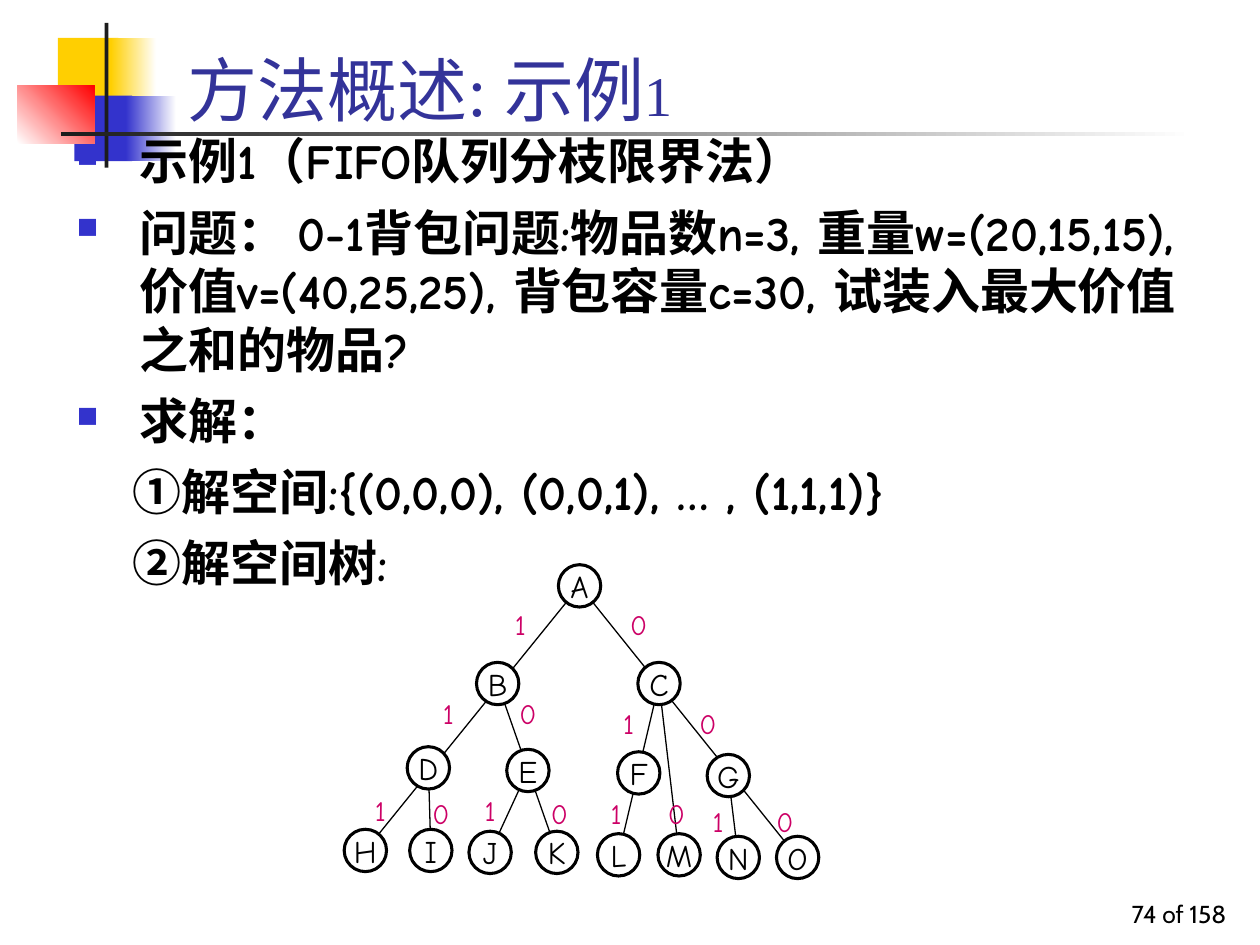
from lxml import etree
from pptx import Presentation
from pptx import util as u
from pptx.dml.color import RGBColor
from pptx.enum import shapes, text
from pptx.oxml.ns import qn

COLORS = {"black": "000000", "white": "FFFFFF", "ink": "1C1C1C", "yellow": "FFCF01",
          "blue": "3333CC", "red": "FF0000", "title": "333399", "label": "CC0066"}

DECORATION = [
    ((33.1, 21.6, 34.6, 37.4), ["yellow"], 0),
    ((63.4, 21.6, 25.9, 37.4), ["yellow", "white"], 0),
    ((42.5, 54.7, 33.1, 37.4), ["blue"], 0),
    ((72, 54.7, 28.8, 37.4), ["blue", "white"], 0),
    ((10.1, 49, 43.9, 33.1), ["white", "red"], 45),
    ((59.8, 13, 2.2, 82.8), ["ink"], 0),
    ((34.6, 75.6, 648, 2.2), ["ink", "white"], 0),
]
TITLE = [("方法概述: 示例", 40), ("1", 32)]
BULLETS = [
    "示例1（FIFO队列分枝限界法）",
    "问题： 0-1背包问题:物品数n=3, 重量w=(20,15,15), 价值v=(40,25,25), "
    "背包容量c=30, 试装入最大价值之和的物品?",
    "求解：",
]
STEPS = ["①解空间:{(0,0,0), (0,0,1), … , (1,1,1)}", "②解空间树:"]
PAGE = "74 of 158"

NODES = {
    "A": (331.2, 334.8), "B": (284.4, 390.6), "C": (376.6, 390.6),
    "D": (244.8, 438.8), "E": (301.7, 440.3), "F": (365, 441.7), "G": (416.2, 443.2),
    "H": (208.8, 486), "I": (246.2, 486), "J": (280.1, 487.1), "K": (318.2, 487.1),
    "L": (353.5, 488.5), "M": (388.1, 488.5), "N": (421.9, 490), "O": (455.8, 490),
}
BRANCHES = ["AO", "BK", "DI", "AH", "EJ", "CM", "CL", "GN"]
CHOICES = {
    "1": [(297.4, 356.8), (256.3, 407.9), (217.4, 463.3), (359.3, 413.6),
          (352.1, 464.8), (280.1, 463.3), (410.4, 469.1)],
    "0": [(365, 356.8), (301.7, 407.9), (252, 464.8), (319.7, 464.8),
          (386.6, 464.8), (448.6, 469.1), (404.6, 413.6)],
}
DIAMETER = 24.2
TREE_FONT = "Comic Neue"


def rgb(name):
    return RGBColor.from_string(COLORS[name])


def points(values):
    return [u.Pt(value) for value in values]


def apply(target, values):
    for name, value in values.items():
        setattr(target, name, value)


def add_run(paragraph, content, size, font, color, bold=False):
    run = paragraph.add_run()
    run.text = content
    apply(run.font, {"size": u.Pt(size), "name": font, "bold": bold})
    run.font.color.rgb = rgb(color)


def add_box(slide, place, anchor):
    frame = slide.shapes.add_textbox(*points(place)).text_frame
    apply(frame, {"word_wrap": True, "vertical_anchor": anchor})
    return frame


def add_decoration(slide, place, colors, angle):
    shape = slide.shapes.add_shape(shapes.MSO_SHAPE.RECTANGLE, *points(place))
    shape.shadow.inherit = False
    shape.line.fill.background()
    if len(colors) == 1:
        shape.fill.solid()
        shape.fill.fore_color.rgb = rgb(colors[0])
        return
    shape.fill.gradient()
    shape.fill.gradient_angle = angle
    for position, (stop, color) in enumerate(zip(shape.fill.gradient_stops, colors)):
        stop.position = position
        stop.color.rgb = rgb(color)


def set_indent(paragraph, margin, indent, bullet):
    properties = paragraph._p.get_or_add_pPr()
    properties.set("marL", str(u.Pt(margin)))
    properties.set("indent", str(u.Pt(indent)))
    if bullet:
        color = etree.SubElement(properties, qn("a:buClr"))
        etree.SubElement(color, qn("a:srgbClr"), val=COLORS["blue"])
        etree.SubElement(properties, qn("a:buSzPct"), val="60000")
        etree.SubElement(properties, qn("a:buChar"), char=bullet)
    else:
        etree.SubElement(properties, qn("a:buNone"))


def add_body(slide):
    frame = add_box(slide, (36.7, 71.3, 657.4, 391), text.MSO_ANCHOR.TOP)
    lines = [(line, 36, -36, "■") for line in BULLETS] + [(line, 32, 0, None) for line in STEPS]
    for index, (line, margin, indent, bullet) in enumerate(lines):
        paragraph = frame.add_paragraph() if index else frame.paragraphs[0]
        paragraph.space_before = u.Pt(7)
        set_indent(paragraph, margin, indent, bullet)
        add_run(paragraph, line, 28, TREE_FONT, "black", True)


def add_branch(slide, start, end):
    line = slide.shapes.add_connector(
        shapes.MSO_CONNECTOR.STRAIGHT, *points(NODES[start] + NODES[end]))
    line.line.width = u.Pt(0.75)
    line.line.color.rgb = rgb("black")
    etree.SubElement(line._element.spPr, qn("a:effectLst"))


def add_circle(slide, center, content, size, color, outlined):
    left, top = (value - DIAMETER / 2 for value in center)
    shape = slide.shapes.add_shape(
        shapes.MSO_SHAPE.OVAL, *points((left, top, DIAMETER, DIAMETER)))
    shape.shadow.inherit = False
    if outlined:
        shape.fill.solid()
        shape.fill.fore_color.rgb = rgb("white")
        shape.line.width = u.Pt(1.75)
        shape.line.color.rgb = rgb("black")
    else:
        shape.fill.background()
        shape.line.fill.background()
    apply(shape.text_frame, {"word_wrap": False, "vertical_anchor": text.MSO_ANCHOR.MIDDLE})
    paragraph = shape.text_frame.paragraphs[0]
    paragraph.alignment = text.PP_ALIGN.CENTER
    add_run(paragraph, content, size, TREE_FONT, color)


def main():
    presentation = Presentation()
    apply(presentation, {"slide_width": u.Pt(720), "slide_height": u.Pt(540)})
    slide = presentation.slides.add_slide(presentation.slide_layouts[6])

    for decoration in DECORATION:
        add_decoration(slide, *decoration)

    page = add_box(slide, (558, 498.2, 149.8, 36), text.MSO_ANCHOR.BOTTOM).paragraphs[0]
    page.alignment = text.PP_ALIGN.RIGHT
    add_run(page, PAGE, 14, "Cabin", "black")

    title = add_box(slide, (100.1, 12.2, 613.4, 66.2), text.MSO_ANCHOR.BOTTOM).paragraphs[0]
    for content, size in TITLE:
        add_run(title, content, size, "Times New Roman", "title")

    add_body(slide)

    for start, end in BRANCHES:
        add_branch(slide, start, end)
    for name, center in NODES.items():
        add_circle(slide, center, name, 18, "black", True)
    for choice, centers in CHOICES.items():
        for center in centers:
            add_circle(slide, center, choice, 16, "label", False)

    presentation.save("out.pptx")


if __name__ == "__main__":
    main()
